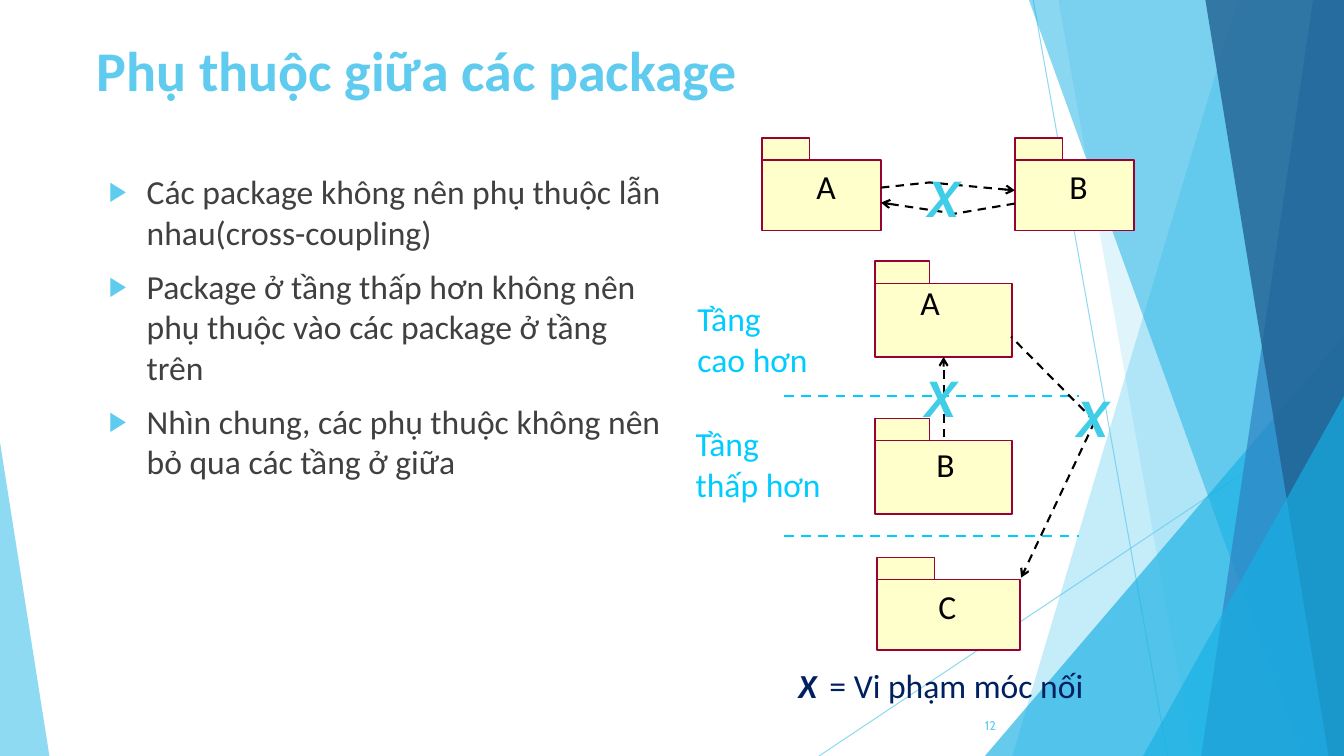
"""Build the slide on dependencies between packages."""
from dataclasses import dataclass

from lxml import etree
from pptx import Presentation
from pptx.dml.color import RGBColor
from pptx.enum import dml, shapes, text
from pptx.oxml import ns
from pptx.util import Pt


@dataclass(frozen=True)
class Theme:
    sky: str = "5FCBEF"
    azure: str = "17B0E4"
    blue: str = "2E83C3"
    deep: str = "226292"
    cyan: str = "00CCFF"
    cross: str = "3FCDE7"
    navy: str = "002060"
    grey: str = "404040"
    black: str = "000000"
    cream: str = "FFFFCC"
    maroon: str = "990033"
    font: str = "Calibri"
    accent_font: str = "Cabin"
    title: int = 40
    cross_size: int = 36
    body: int = 24
    number: int = 9


THEME = Theme()
WIDTH, HEIGHT = 960, 540
TAB_HEIGHT = 15.84


def points(*lengths):
    return [Pt(length) for length in lengths]


def add_element(parent, tag, **attributes):
    return etree.SubElement(parent, ns.qn(tag), attributes)


def set_alpha(shape, percent):
    for color in shape.element.spPr.iter(ns.qn("a:srgbClr")):
        add_element(color, "a:alpha", val=str(percent * 1000))


def style_line(shape, color, width, dashed=False, arrow=False):
    shape.line.color.rgb = RGBColor.from_string(color)
    shape.line.width = Pt(width)
    if dashed:
        shape.line.dash_style = dml.MSO_LINE.DASH
    if arrow:
        add_element(shape.line._get_or_add_ln(), "a:tailEnd", type="arrow")


def fill_shape(shape, color, alpha=None):
    shape.shadow.inherit = False
    shape.fill.solid()
    shape.fill.fore_color.rgb = RGBColor.from_string(color)
    shape.line.fill.background()
    if alpha:
        set_alpha(shape, alpha)


def add_line(slide, start, end, color, width, **style):
    line = slide.shapes.add_connector(
        shapes.MSO_CONNECTOR.STRAIGHT, *points(*start, *end))
    style_line(line, color, width, **style)
    add_element(line.element.spPr, "a:effectLst")
    return line


def add_path(slide, vertices, close):
    start, *rest = [points(*vertex) for vertex in vertices]
    builder = slide.shapes.build_freeform(*start)
    builder.add_line_segments(rest, close=close)
    return builder.convert_to_shape()


def add_stripe(slide, top_left, bottom_left, color, alpha):
    corners = [(top_left, 0), (WIDTH, 0), (WIDTH, HEIGHT), (bottom_left, HEIGHT)]
    fill_shape(add_path(slide, corners, True), color, alpha)


def add_triangle(slide, left, top, width, apex, color, alpha):
    triangle = slide.shapes.add_shape(
        shapes.MSO_SHAPE.ISOSCELES_TRIANGLE,
        *points(left, top, width, HEIGHT - top))
    triangle.adjustments[0] = apex
    fill_shape(triangle, color, alpha)


def add_bent_arrow(slide, vertices):
    arrow = add_path(slide, vertices, False)
    arrow.shadow.inherit = False
    arrow.fill.background()
    style_line(arrow, THEME.black, 1.5, dashed=True, arrow=True)


def add_run(paragraph, words, size, color, font=THEME.font, strong=False, italic=False):
    run = paragraph.add_run()
    run.text = words
    run.font.name = font
    run.font.size = Pt(size)
    run.font.bold = strong
    run.font.italic = italic
    run.font.color.rgb = RGBColor.from_string(color)


def add_text(slide, box, inset=(8.64, 4.32)):
    frame = slide.shapes.add_textbox(*points(*box)).text_frame
    frame.word_wrap = True
    frame.margin_left = frame.margin_right = Pt(inset[0])
    frame.margin_top = frame.margin_bottom = Pt(inset[1])
    return frame.paragraphs[0]


def add_cross(slide, left, top):
    paragraph = add_text(slide, (left, top, 49, 52))
    add_run(paragraph, "X", THEME.cross_size, THEME.cross, THEME.accent_font, True, True)


def add_package(slide, letter, left, top, size, tab_width, letter_offset):
    boxes = [(left, top + TAB_HEIGHT, *size), (left, top, tab_width, TAB_HEIGHT)]
    for box in boxes:
        shape = slide.shapes.add_shape(shapes.MSO_SHAPE.RECTANGLE, *points(*box))
        fill_shape(shape, THEME.cream)
        style_line(shape, THEME.maroon, 1)
    across, down = letter_offset
    paragraph = add_text(slide, (left + across, top + down, 25, 29), (0, 0))
    add_run(paragraph, letter, THEME.body, THEME.black)


def place(placeholder, box):
    placeholder.left, placeholder.top, placeholder.width, placeholder.height = points(*box)
    frame = placeholder.text_frame
    frame.auto_size = text.MSO_AUTO_SIZE.NONE
    frame.vertical_anchor = text.MSO_ANCHOR.TOP
    return frame


def add_title(slide, words):
    paragraph = place(slide.shapes.title, (62, 21.6, 648, 64.8)).paragraphs[0]
    paragraph.alignment = text.PP_ALIGN.LEFT
    add_run(paragraph, words, THEME.title, THEME.sky, strong=True)


def add_bullets(slide, items):
    frame = place(slide.placeholders[1], (70.56, 118.8, 414, 364.3))
    for index, item in enumerate(items):
        paragraph = frame.add_paragraph() if index else frame.paragraphs[0]
        properties = paragraph._p.get_or_add_pPr()
        properties.set("marL", str(Pt(27)))
        properties.set("indent", str(Pt(-27)))
        color = add_element(properties, "a:buClr")
        add_element(color, "a:srgbClr", val=THEME.sky)
        add_element(properties, "a:buSzPct", val="80000")
        add_element(properties, "a:buChar", char="▶")
        paragraph.space_before = Pt(10 if index else 0)
        add_run(paragraph, item, THEME.body, THEME.grey)


def add_backdrop(slide):
    for start, end in [((738, 0), (834, HEIGHT)), ((WIDTH, 290), (585, HEIGHT))]:
        set_alpha(add_line(slide, start, end, THEME.sky, 0.75), 70)
    add_stripe(slide, 884, 723, THEME.sky, 36)
    add_stripe(slide, 756, 852, THEME.sky, 20)
    add_triangle(slide, 703.5, 240, 256.5, 1, THEME.azure, 66)
    add_stripe(slide, 735, 930, THEME.azure, 50)
    add_stripe(slide, 938, 858, THEME.blue, 70)
    add_stripe(slide, 861, 949, THEME.deep, 80)
    add_triangle(slide, 816.5, 283, 143.5, 1, THEME.azure, 66)
    add_triangle(slide, 0, 316, 35.3, 0, THEME.sky, 70)


def add_cross_coupling(slide):
    for letter, left in [("A", 544.3), ("B", 725)]:
        add_package(slide, letter, left, 98.6, (85, 50.4), 34, (38.9, 20.2))
    add_bent_arrow(slide, [(725, 145.4), (682, 152.6), (629.3, 144.7)])
    add_bent_arrow(slide, [(629.3, 134), (664, 130.3), (725, 136)])
    add_cross(slide, 654.5, 115.2)


def add_layers(slide):
    for height in (283, 383):
        add_line(slide, (560, height), (770.4, height), THEME.cyan, 1.75, dashed=True)
    add_package(slide, "A", 625, 186.5, (98, 52.6), 39, (32.4, 15.1))
    add_package(slide, "B", 625, 298.8, (98, 52.6), 39, (43.9, 18))
    add_package(slide, "C", 626.4, 398.2, (102.2, 50.4), 41, (43.9, 20.1))
    corner = (782, 301)
    add_line(slide, (674, 312.5), (674, 255), THEME.black, 1.5, dashed=True, arrow=True)
    add_line(slide, corner, (729.4, 412.6), THEME.black, 1.5, dashed=True, arrow=True)
    add_line(slide, corner, (722.2, 240.5), THEME.black, 1.5, dashed=True)
    add_cross(slide, 652.5, 257.8)
    add_cross(slide, 761, 272.2)
    labels = [("Tầng cao hơn", (489.6, 208.8, 100, 67)),
              ("Tầng thấp hơn", (488.2, 298.1, 108.7, 67))]
    for words, box in labels:
        add_run(add_text(slide, box), words, THEME.body, THEME.cyan)


def add_legend(slide):
    paragraph = add_text(slide, (561.6, 454.3, 228.2, 56.9))
    add_run(paragraph, "X", THEME.body, THEME.navy, strong=True, italic=True)
    add_run(paragraph, " ", THEME.title, THEME.navy, strong=True, italic=True)
    add_run(paragraph, "= Vi phạm móc nối", THEME.body, THEME.navy)


def add_number(slide, number):
    paragraph = add_text(slide, (670.3, 509.5, 48.2, 20), (7.2, 3.6))
    paragraph.alignment = text.PP_ALIGN.RIGHT
    add_run(paragraph, number, THEME.number, THEME.sky, THEME.accent_font)


def main():
    presentation = Presentation()
    presentation.slide_width, presentation.slide_height = points(WIDTH, HEIGHT)
    slide = presentation.slides.add_slide(presentation.slide_layouts[1])
    add_backdrop(slide)
    add_title(slide, "Phụ thuộc giữa các package")
    add_bullets(slide, [
        "Các package không nên phụ thuộc lẫn nhau(cross-coupling)",
        "Package ở tầng thấp hơn không nên phụ thuộc vào các package ở tầng trên",
        "Nhìn chung, các phụ thuộc không nên bỏ qua các tầng ở giữa",
    ])
    add_cross_coupling(slide)
    add_layers(slide)
    add_legend(slide)
    add_number(slide, "12")
    presentation.save("out.pptx")


if __name__ == "__main__":
    main()
